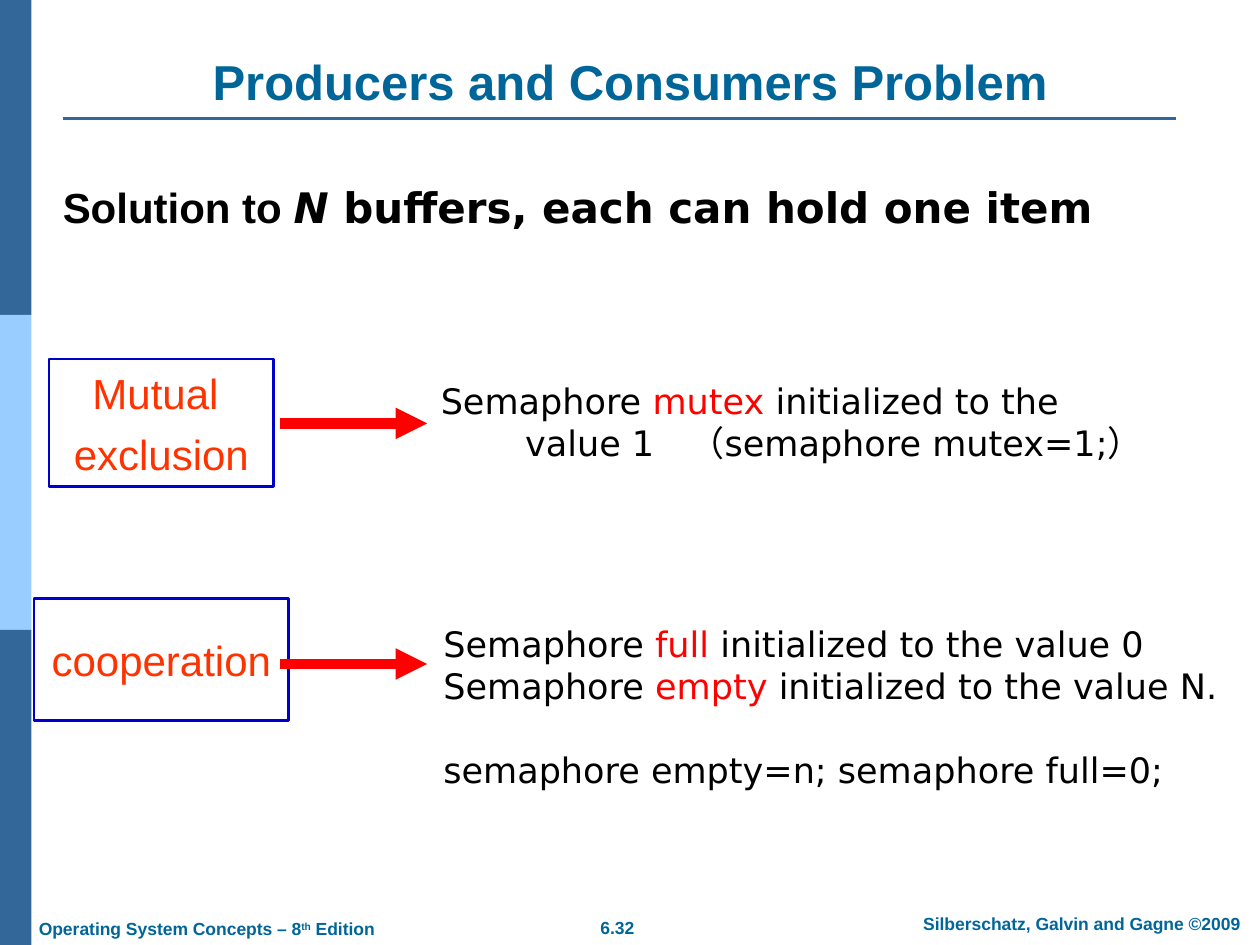
from dataclasses import dataclass

import pptx
import pptx.dml.color
import pptx.enum.shapes
import pptx.enum.text
import pptx.oxml.ns
import pptx.util
from lxml import etree
from pptx.util import Inches, Pt

ALIGN = pptx.enum.text.PP_ALIGN
ANCHOR = pptx.enum.text.MSO_ANCHOR


@dataclass(frozen=True)
class Theme:
    dark_blue: str = "336699"
    light_blue: str = "99CCFF"
    heading: str = "006699"
    text: str = "000000"
    keyword: str = "FF0000"
    label: str = "FF3300"
    box_border: str = "0000CC"
    sans: str = "Arial"
    body: str = "DejaVu Sans"
    title_size: float = 28
    large_size: float = 24
    body_size: float = 20
    footer_size: float = 10


THEME = Theme()


@dataclass(frozen=True)
class Area:
    left: float
    top: float
    width: float
    height: float

    def lengths(self) -> tuple:
        return tuple(Inches(v) for v in (self.left, self.top, self.width, self.height))


@dataclass(frozen=True)
class Style:
    size: float
    color: str
    font: str
    bold: bool = False
    italic: bool = False
    superscript: bool = False


@dataclass(frozen=True)
class Span:
    text: str
    style: Style


@dataclass(frozen=True)
class Line:
    spans: tuple
    space_before: float = 0


@dataclass(frozen=True)
class TextBlock:
    area: Area
    lines: tuple
    align: int = ALIGN.LEFT
    hanging: bool = False


@dataclass(frozen=True)
class Concept:
    area: Area
    lines: tuple
    arrow_y: float


TITLE = Style(THEME.title_size, THEME.heading, THEME.sans, bold=True)
FOOTER = Style(THEME.footer_size, THEME.heading, THEME.sans, bold=True)
ORDINAL = Style(THEME.footer_size, THEME.heading, THEME.sans, bold=True, superscript=True)
HEADING = Style(THEME.large_size, THEME.text, THEME.sans, bold=True)
HEADING_BODY = Style(THEME.large_size, THEME.text, THEME.body, bold=True)
HEADING_ITALIC = Style(THEME.large_size, THEME.text, THEME.body, bold=True, italic=True)
BODY = Style(THEME.body_size, THEME.text, THEME.body)
KEYWORD = Style(THEME.body_size, THEME.keyword, THEME.body)
LABEL = Style(THEME.large_size, THEME.label, THEME.sans)


def semaphore_line(name: str, rest: str) -> Line:
    return Line((Span("Semaphore ", BODY), Span(name, KEYWORD), Span(rest, BODY)))


TEXT_BLOCKS = (
    TextBlock(Area(4.41, 7.23, 0.98, 0.27), (Line((Span("6.32", FOOTER),)),), ALIGN.CENTER),
    TextBlock(Area(7.1, 7.2, 2.97, 0.27),
              (Line((Span("Silberschatz, Galvin and Gagne ©2009", FOOTER),)),), ALIGN.CENTER),
    TextBlock(Area(0.21, 7.24, 3.2, 0.27),
              (Line((Span("Operating System Concepts – 8", FOOTER), Span("th", ORDINAL),
                     Span(" Edition", FOOTER))),)),
    TextBlock(Area(0.4, 1.39, 8.56, 0.5),
              (Line((Span("Solution to ", HEADING), Span("N", HEADING_ITALIC),
                     Span(" buffers, each can hold one item", HEADING_BODY))),), hanging=True),
    TextBlock(Area(3.42, 4.89, 7.01, 1.77),
              (semaphore_line("full ", "initialized to the value 0"),
               semaphore_line("empty", " initialized to the value N."),
               Line((Span("semaphore empty=n; semaphore full=0;", BODY),), space_before=24)),
              hanging=True),
    TextBlock(Area(3.4, 2.96, 5.84, 0.77),
              (semaphore_line("mutex", " initialized to the value 1　（semaphore mutex=1;）"),),
              hanging=True),
)

CONCEPTS = (
    Concept(Area(0.39, 2.85, 1.78, 1.01),
            (Line((Span("Mutual ", LABEL),)), Line((Span("exclusion", LABEL),), space_before=6)),
            3.36),
    Concept(Area(0.27, 4.75, 2.02, 0.97), (Line((Span("cooperation", LABEL),)),), 5.27),
)


def rgb(color: str) -> pptx.dml.color.RGBColor:
    return pptx.dml.color.RGBColor.from_string(color)


def format_run(run, style: Style) -> None:
    run.font.size = Pt(style.size)
    run.font.name = style.font
    run.font.bold = style.bold
    run.font.italic = style.italic
    run.font.color.rgb = rgb(style.color)
    if style.superscript:
        run._r.get_or_add_rPr().set("baseline", "30000")


def write_lines(text_frame, lines: tuple, align: int, hanging: bool = False) -> None:
    for index, line in enumerate(lines):
        paragraph = text_frame.add_paragraph() if index else text_frame.paragraphs[0]
        paragraph.alignment = align
        paragraph.space_before = Pt(line.space_before)
        if hanging:
            properties = paragraph._p.get_or_add_pPr()
            properties.set("marL", str(Inches(0.67)))
            properties.set("indent", str(Inches(-0.67)))
        for span in line.spans:
            run = paragraph.add_run()
            run.text = span.text
            format_run(run, span.style)


def add_text_block(slide, block: TextBlock) -> None:
    text_frame = slide.shapes.add_textbox(*block.area.lengths()).text_frame
    text_frame.word_wrap = True
    write_lines(text_frame, block.lines, block.align, block.hanging)


def add_rectangle(slide, area: Area):
    shape = slide.shapes.add_shape(pptx.enum.shapes.MSO_SHAPE.RECTANGLE, *area.lengths())
    shape.shadow.inherit = False
    return shape


def add_line(slide, left: float, right: float, y: float, color: str, weight: float,
             arrow: bool = False) -> None:
    connector = slide.shapes.add_connector(
        pptx.enum.shapes.MSO_CONNECTOR.STRAIGHT,
        Inches(left), Inches(y), Inches(right), Inches(y))
    connector.line.color.rgb = rgb(color)
    connector.line.width = Pt(weight)
    if arrow:
        line = connector.line._get_or_add_ln()
        etree.SubElement(line, pptx.oxml.ns.qn("a:tailEnd"), type="triangle")
    etree.SubElement(connector._element.spPr, pptx.oxml.ns.qn("a:effectLst"))


def add_concept(slide, concept: Concept) -> None:
    box = add_rectangle(slide, concept.area)
    box.fill.background()
    box.line.color.rgb = rgb(THEME.box_border)
    box.line.width = Pt(1.5)
    box.text_frame.word_wrap = False
    box.text_frame.vertical_anchor = ANCHOR.MIDDLE
    write_lines(box.text_frame, concept.lines, ALIGN.CENTER)
    add_line(slide, 2.22, 3.39, concept.arrow_y, THEME.keyword, 6, arrow=True)


def add_side_bar(slide) -> None:
    for index, color in enumerate((THEME.dark_blue, THEME.light_blue, THEME.dark_blue)):
        band = add_rectangle(slide, Area(0, 2.5 * index, 0.25, 2.5))
        band.fill.solid()
        band.fill.fore_color.rgb = rgb(color)
        band.line.fill.background()


def set_title(slide, text: str) -> None:
    title = slide.shapes.title
    title.left, title.top, title.width, title.height = Area(0.5, 0.3, 9, 0.63).lengths()
    title.text_frame.vertical_anchor = ANCHOR.BOTTOM
    write_lines(title.text_frame, (Line((Span(text, TITLE),)),), ALIGN.CENTER)


def main() -> None:
    presentation = pptx.Presentation()
    presentation.slide_width, presentation.slide_height = Inches(10), Inches(7.5)
    slide = presentation.slides.add_slide(presentation.slide_layouts[5])
    set_title(slide, "Producers and Consumers Problem")
    add_side_bar(slide)
    add_line(slide, 0.5, 9.33, 0.94, THEME.dark_blue, 1.5)
    for block in TEXT_BLOCKS:
        add_text_block(slide, block)
    for concept in CONCEPTS:
        add_concept(slide, concept)
    presentation.save("out.pptx")


if __name__ == "__main__":
    main()
